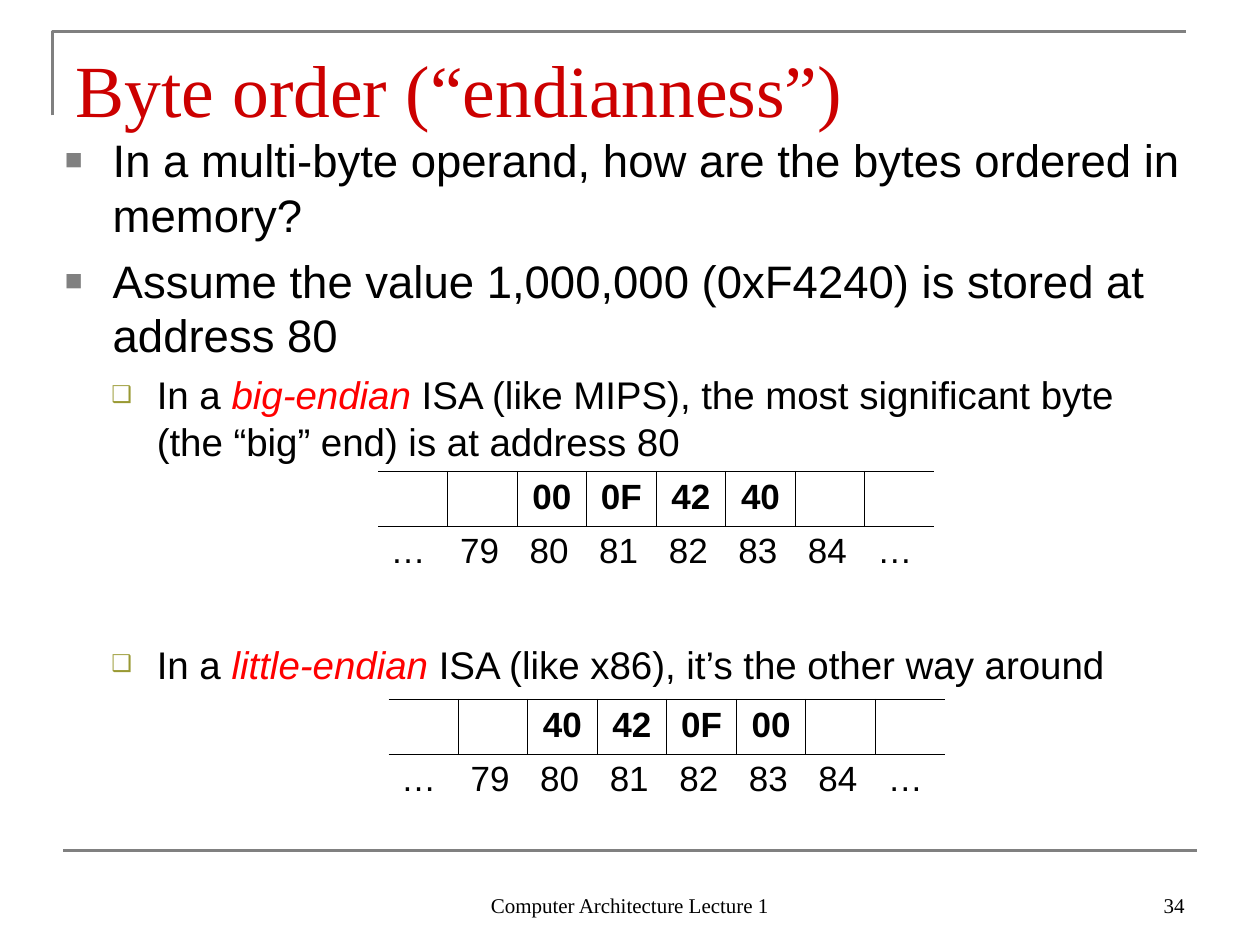
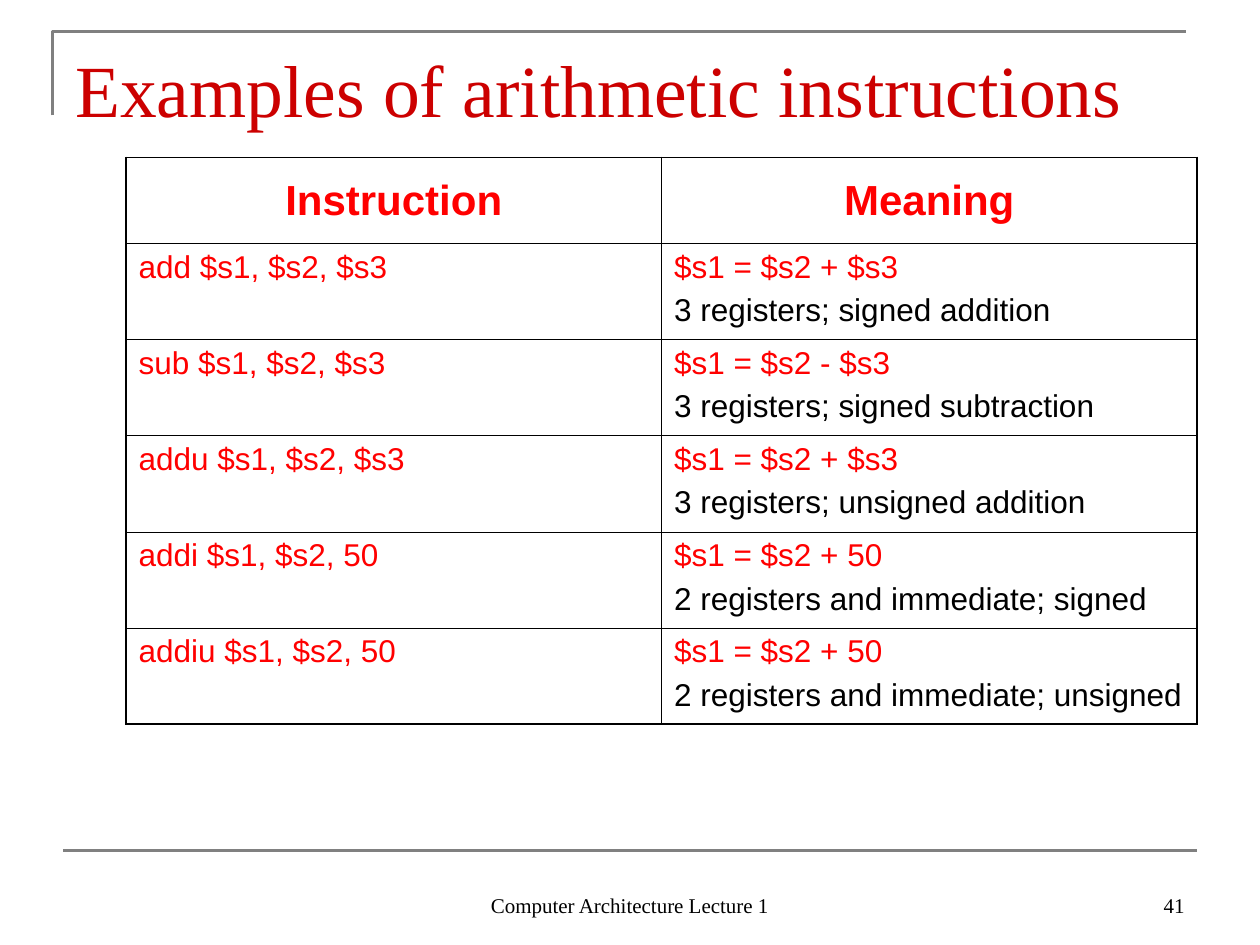
from dataclasses import dataclass
from typing import NamedTuple

from lxml import etree
from pptx import Presentation
from pptx.dml.color import RGBColor
from pptx.enum.shapes import MSO_CONNECTOR
from pptx.enum.text import MSO_ANCHOR as Anchor, PP_ALIGN as Align
from pptx.oxml.ns import qn
from pptx.util import Emu, Inches, Pt

# The slide is 120 columns wide and 90 rows high, in square units.
COLUMNS = 120
SLIDE_WIDTH, SLIDE_HEIGHT = Inches(10), Inches(7.5)
UNIT = SLIDE_WIDTH / COLUMNS

BLACK = RGBColor(0x00, 0x00, 0x00)
GRAY = RGBColor(0x80, 0x80, 0x80)
OLIVE = RGBColor(0x99, 0x99, 0x33)
RED = RGBColor(0xFF, 0x00, 0x00)
TITLE_RED = RGBColor(0xCC, 0x00, 0x00)

SANS, SERIF = "Arial", "Times New Roman"
COURSE = "Computer Architecture Lecture 1"
THIN, THICK = 0.45, 1.08


class Box(NamedTuple):
    left: float
    top: float
    width: float
    height: float

    def emu(self) -> list[Emu]:
        return [units(length) for length in self]


@dataclass(frozen=True)
class Style:
    size: float
    color: RGBColor = BLACK
    face: str = SANS
    bold: bool = False
    align: Align = Align.LEFT


@dataclass(frozen=True)
class Level:
    bullet: str
    bullet_color: RGBColor
    bullet_percent: int
    margin: float
    hanging: float
    size: float
    space_before: float


@dataclass(frozen=True)
class Point:
    """A bulleted point; the term inside it is set in red italics."""
    level: Level
    before: str
    term: str = ""
    after: str = ""
    space_before: float | None = None


@dataclass(frozen=True)
class Memory:
    """A strip of memory with one byte for each address."""
    box: Box
    stored: tuple[str, ...]


@dataclass(frozen=True)
class Instruction:
    code: str
    meaning: str
    remark: str


TITLE = Style(42, TITLE_RED, SERIF)
FOOTER = Style(12, BLACK, SERIF, align=Align.CENTER)
PAGE = Style(12, BLACK, SERIF, align=Align.RIGHT)
BYTE = Style(20, bold=True, align=Align.CENTER)
ADDRESS = Style(20)
HEADING = Style(24, RED, bold=True, align=Align.CENTER)
CODE, REMARK = Style(18, RED), Style(18)

MAIN = Level("■", GRAY, 65, 0.38, 0.38, 26, 6.5)
SUB = Level("❑", OLIVE, 60, 0.73, 0.36, 22, 5.5)

POINTS = (
    Point(MAIN, "In a multi-byte operand, how are the bytes ordered in memory?"),
    Point(MAIN, "Assume the value 1,000,000 (0xF4240) is stored at address 80"),
    Point(SUB, "In a ", "big-endian",
          " ISA (like MIPS), the most significant byte (the “big” end) is at address 80"),
    Point(SUB, "In a ", "little-endian",
          " ISA (like x86), it’s the other way around", space_before=101),
)
ADDRESSES = ("…", "79", "80", "81", "82", "83", "84", "…")
BIG_ENDIAN = ("00", "0F", "42", "40")
MEMORIES = (
    Memory(Box(36, 44.88, 53, 10.4), BIG_ENDIAN),
    Memory(Box(37, 66.6, 53, 10.4), BIG_ENDIAN[::-1]),
)
HEADINGS = ("Instruction", "Meaning")
HEADING_ROW = 8.2
INSTRUCTIONS = (
    Instruction("add $s1, $s2, $s3", "$s1 = $s2 + $s3", "3 registers; signed addition"),
    Instruction("sub $s1, $s2, $s3", "$s1 = $s2 - $s3", "3 registers; signed subtraction"),
    Instruction("addu $s1, $s2, $s3", "$s1 = $s2 + $s3", "3 registers; unsigned addition"),
    Instruction("addi $s1, $s2, 50", "$s1 = $s2 + 50", "2 registers and immediate; signed"),
    Instruction("addiu $s1, $s2, 50", "$s1 = $s2 + 50", "2 registers and immediate; unsigned"),
)


def units(length: float) -> Emu:
    return Emu(round(length * UNIT))


def style_font(font, style: Style) -> None:
    font.name, font.size, font.bold = style.face, Pt(style.size), style.bold
    font.color.rgb = style.color


def write(paragraph, text: str, style: Style) -> None:
    paragraph.text = text
    paragraph.alignment = style.align
    for run in paragraph.runs:
        style_font(run.font, style)


def add_frame(slide, box: Box, anchor: Anchor):
    frame = slide.shapes.add_textbox(*box.emu()).text_frame
    frame.word_wrap = True
    frame.vertical_anchor = anchor
    return frame


def style_line(shape) -> None:
    shape.line.color.rgb = GRAY
    shape.line.width = Pt(1.5)


def add_lecture_slide(deck, title: str, page: int):
    """Add a slide with the corner rule, title, bottom rule and footer."""
    slide = deck.slides.add_slide(deck.slide_layouts[6])
    outline = slide.shapes.build_freeform(5, 11, scale=UNIT)
    outline.add_line_segments([(5, 3), (113, 3)], close=False)
    corner = outline.convert_to_shape()
    corner.fill.background()
    corner.shadow.inherit = False
    style_line(corner)

    rule = slide.shapes.add_connector(
        MSO_CONNECTOR.STRAIGHT, units(6), units(81), units(114), units(81))
    style_line(rule)
    etree.SubElement(rule._element.spPr, qn("a:effectLst"))

    for box, anchor, text, style in (
            (Box(41, 82, 38, 6), Anchor.BOTTOM, COURSE, FOOTER),
            (Box(86, 82, 28, 6), Anchor.BOTTOM, str(page), PAGE),
            (Box(6, 3.6, 108, 9.4), Anchor.TOP, title, TITLE)):
        write(add_frame(slide, box, anchor).paragraphs[0], text, style)
    return slide


def set_bullet(paragraph, level: Level) -> None:
    properties = paragraph._p.get_or_add_pPr()
    properties.set("marL", str(Inches(level.margin)))
    properties.set("indent", str(-Inches(level.hanging)))
    color = etree.SubElement(properties, qn("a:buClr"))
    etree.SubElement(color, qn("a:srgbClr"), val=str(level.bullet_color))
    etree.SubElement(properties, qn("a:buSzPct"), val=str(level.bullet_percent * 1000))
    etree.SubElement(properties, qn("a:buFont"), typeface=SANS)
    etree.SubElement(properties, qn("a:buChar"), char=level.bullet)


def add_points(slide, box: Box, points: tuple[Point, ...]) -> None:
    frame = add_frame(slide, box, Anchor.TOP)
    for index, point in enumerate(points):
        paragraph = frame.add_paragraph() if index else frame.paragraphs[0]
        set_bullet(paragraph, point.level)
        if index:
            paragraph.space_before = Pt(point.space_before or point.level.space_before)
        for text in filter(None, (point.before, point.term, point.after)):
            run = paragraph.add_run()
            run.text = text
            is_term = text == point.term
            style_font(run.font, Style(point.level.size, RED if is_term else BLACK))
            run.font.italic = is_term


def finish_cell(cell, left: float, right: float, top: float, bottom: float) -> None:
    """Set the border widths in points, where 0 is no line, and clear the fill."""
    properties = cell._tc.get_or_add_tcPr()
    for side, width in zip("LRTB", (left, right, top, bottom)):
        line = etree.SubElement(properties, qn(f"a:ln{side}"), w=str(Pt(width)))
        if width:
            fill = etree.SubElement(line, qn("a:solidFill"))
            etree.SubElement(fill, qn("a:srgbClr"), val=str(BLACK))
        else:
            etree.SubElement(line, qn("a:noFill"))
    cell.fill.background()


def add_plain_table(slide, box: Box, rows: int, columns: int):
    table = slide.shapes.add_table(rows, columns, *box.emu()).table
    table.first_row = table.horz_banding = False
    for column in table.columns:
        column.width = units(box.width / columns)
    return table


def add_memory(slide, memory: Memory) -> None:
    last = len(ADDRESSES) - 1
    table = add_plain_table(slide, memory.box, 2, len(ADDRESSES))
    first_stored = ADDRESSES.index("80")
    for column, address in enumerate(ADDRESSES):
        byte_cell, address_cell = table.cell(0, column), table.cell(1, column)
        offset = column - first_stored
        if 0 <= offset < len(memory.stored):
            write(byte_cell.text_frame.paragraphs[0], memory.stored[offset], BYTE)
        write(address_cell.text_frame.paragraphs[0], address, ADDRESS)
        finish_cell(byte_cell, THIN if column else 0, THIN if column < last else 0, THIN, THIN)
        finish_cell(address_cell, 0, 0, THIN, 0)


def add_instructions(slide, box: Box) -> None:
    count = len(INSTRUCTIONS)
    table = add_plain_table(slide, box, count + 1, len(HEADINGS))
    for index, row in enumerate(table.rows):
        row.height = units((box.height - HEADING_ROW) / count if index else HEADING_ROW)

    for column, heading in enumerate(HEADINGS):
        cell = table.cell(0, column)
        cell.vertical_anchor = Anchor.MIDDLE
        write(cell.text_frame.paragraphs[0], heading, HEADING)
    for row, instruction in enumerate(INSTRUCTIONS, start=1):
        write(table.cell(row, 0).text_frame.paragraphs[0], instruction.code, CODE)
        meaning = table.cell(row, 1).text_frame
        write(meaning.paragraphs[0], instruction.meaning, CODE)
        remark = meaning.add_paragraph()
        write(remark, instruction.remark, REMARK)
        remark.space_before = Pt(4.5)

    for row in range(count + 1):
        top = THICK if row <= 1 else THIN
        bottom = THICK if row in (0, count) else THIN
        finish_cell(table.cell(row, 0), THICK, THIN, top, bottom)
        finish_cell(table.cell(row, 1), THIN, THICK, top, bottom)


def main() -> None:
    deck = Presentation()
    deck.slide_width, deck.slide_height = SLIDE_WIDTH, SLIDE_HEIGHT

    byte_order = add_lecture_slide(deck, "Byte order (“endianness”)", 34)
    add_points(byte_order, Box(5, 12, 109, 68.4), POINTS)
    for memory in MEMORIES:
        add_memory(byte_order, memory)

    arithmetic = add_lecture_slide(deck, "Examples of arithmetic instructions", 41)
    add_instructions(arithmetic, Box(12, 15, 102, 54))

    deck.save("out.pptx")


if __name__ == "__main__":
    main()
